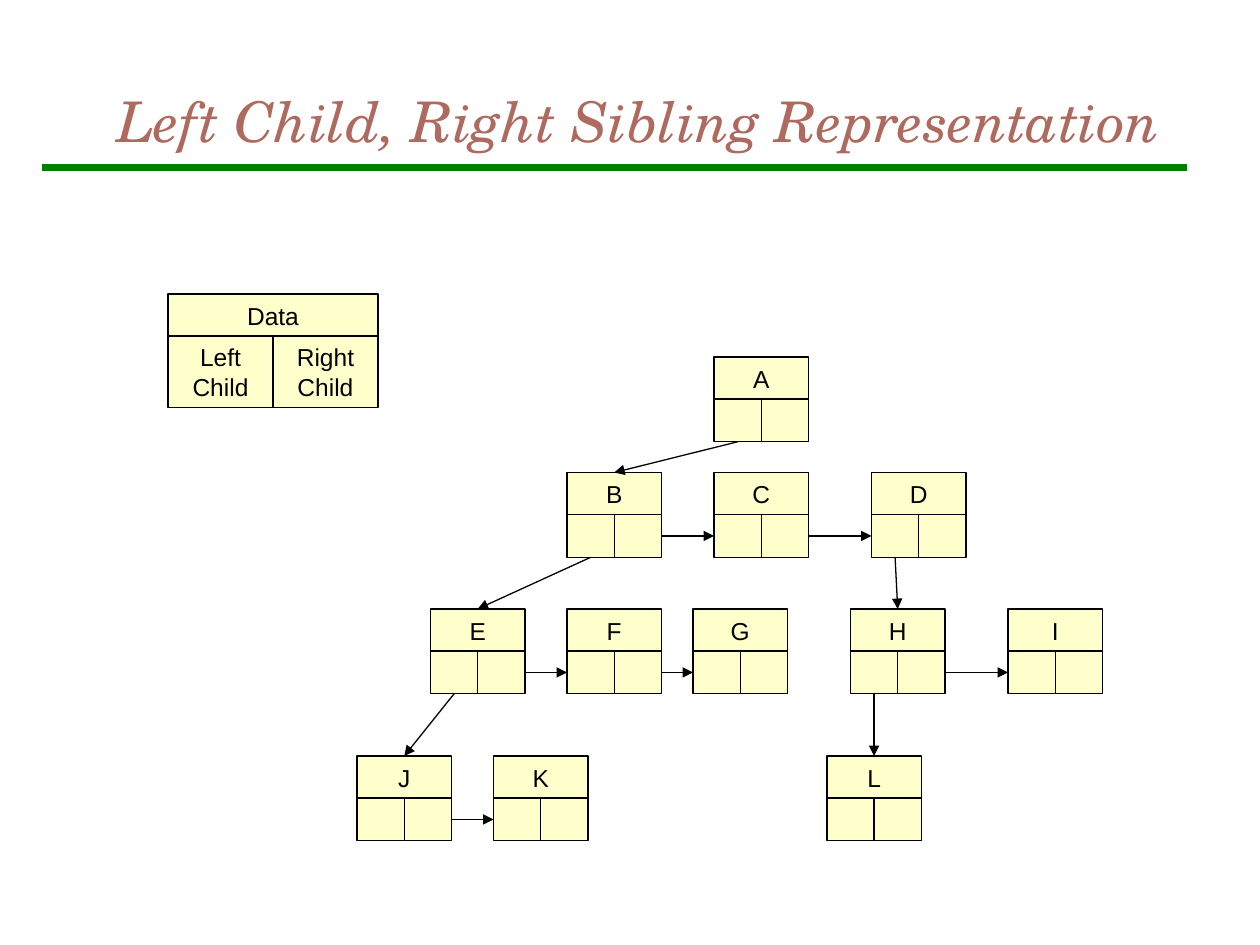
"""Build the slide on the left child, right sibling representation of a tree."""
import pptx
import pptx.util
import pptx.dml.color
import pptx.enum.shapes
import pptx.enum.text
import pptx.oxml.ns
from lxml import etree

TITLE = "Left Child, Right Sibling Representation"
LEGEND = ("Data", "Left Child", "Right Child")
NODES = {
    "A": (68, 34), "B": (54, 45), "C": (68, 45), "D": (83, 45),
    "I": (96, 58), "H": (81, 58), "G": (66, 58), "F": (54, 58), "E": (41, 58),
    "J": (34, 72), "K": (47, 72), "L": (78.75, 72),
}
LEFT_CHILDREN = ("AB", "BE", "EJ", "DH", "HL")
SIBLINGS = ("BC", "CD", "EF", "JK", "FG", "HI")
COLORS = {"title": "AF6A5F", "rule": "008000", "box": "FFFFCC", "ink": "000000"}
TITLE_FONT = {"name": "TeX Gyre Schola", "size": pptx.util.Pt(32), "italic": True, "bold": False}
BOX_FONT = {"name": "Arial", "size": pptx.util.Pt(14)}
UNIT = 1 / 12
ROW_HEIGHT = 0.34
TOP, LEFT, BOTTOM, RIGHT = range(4)
ANCHOR = pptx.enum.text.MSO_ANCHOR
ALIGN = pptx.enum.text.PP_ALIGN
inches = pptx.util.Inches


def color(name):
    return pptx.dml.color.RGBColor.from_string(COLORS[name])


def write(shape, text, font, color_name, alignment):
    frame = shape.text_frame
    frame.text = text
    settings = {"word_wrap": True, "auto_size": pptx.enum.text.MSO_AUTO_SIZE.NONE,
                "vertical_anchor": ANCHOR.MIDDLE}
    for name, value in settings.items():
        setattr(frame, name, value)
    paragraph = frame.paragraphs[0]
    paragraph.alignment = alignment
    for name, value in font.items():
        setattr(paragraph.font, name, value)
    paragraph.font.color.rgb = color(color_name)


def add_box(group, text, left, top, width, height):
    box = group.shapes.add_shape(pptx.enum.shapes.MSO_SHAPE.RECTANGLE,
                                 *map(inches, (left, top, width, height)))
    box.shadow.inherit = False
    box.fill.solid()
    box.fill.fore_color.rgb = color("box")
    box.line.color.rgb = color("ink")
    box.line.width = pptx.util.Pt(0.75)
    if text:
        write(box, text, BOX_FONT, "ink", ALIGN.CENTER)
    return box


def add_record(slide, texts, column, row, width, link_height):
    left, top, half = column * UNIT, row * UNIT, width * UNIT / 2
    link_top = top + 4 * UNIT
    group = slide.shapes.add_group_shape()
    return (
        add_box(group, texts[0], left, top, 2 * half, ROW_HEIGHT),
        add_box(group, texts[1], left, link_top, half, link_height),
        add_box(group, texts[2], left + half, link_top, half, link_height),
    )


def add_line(slide, ends, color_name, width):
    line = slide.shapes.add_connector(pptx.enum.shapes.MSO_CONNECTOR.STRAIGHT,
                                      *map(inches, ends))
    line.line.color.rgb = color(color_name)
    line.line.width = pptx.util.Pt(width)
    etree.SubElement(line._element.spPr, pptx.oxml.ns.qn("a:effectLst"))
    return line


def add_arrow(slide, source, source_side, target, target_side):
    arrow = add_line(slide, (0, 0, 0, 0), "ink", 0.75)
    arrow.begin_connect(source, source_side)
    arrow.end_connect(target, target_side)
    outline = arrow.line._get_or_add_ln()
    etree.SubElement(outline, pptx.oxml.ns.qn("a:tailEnd"), type="triangle")


def main():
    presentation = pptx.Presentation()
    presentation.slide_width, presentation.slide_height = inches(10), inches(7.5)
    slide = presentation.slides.add_slide(presentation.slide_layouts[5])
    add_line(slide, (0.33, 1.33, 9.42, 1.33), "rule", 4)

    title = slide.shapes.title
    title.left, title.top, title.width, title.height = map(inches, (0.83, 0.33, 9.17, 1.25))
    write(title, TITLE, TITLE_FONT, "title", ALIGN.LEFT)

    add_record(slide, LEGEND, 16, 28, 20, 0.57)
    records = {
        name: add_record(slide, (name, "", ""), column, row, 9, ROW_HEIGHT)
        for name, (column, row) in NODES.items()
    }
    for parent, child in LEFT_CHILDREN:
        add_arrow(slide, records[parent][1], BOTTOM, records[child][0], TOP)
    for node, sibling in SIBLINGS:
        add_arrow(slide, records[node][2], RIGHT, records[sibling][1], LEFT)
    presentation.save("out.pptx")


if __name__ == "__main__":
    main()
